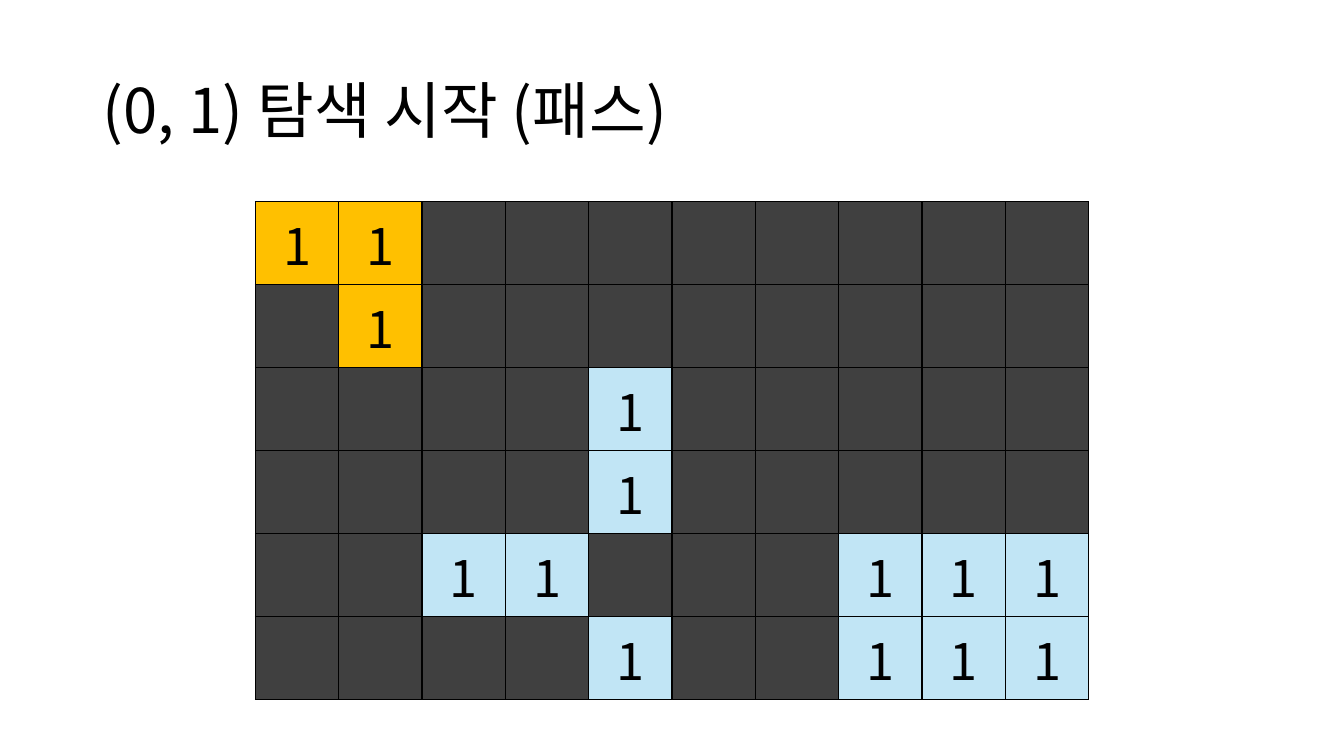
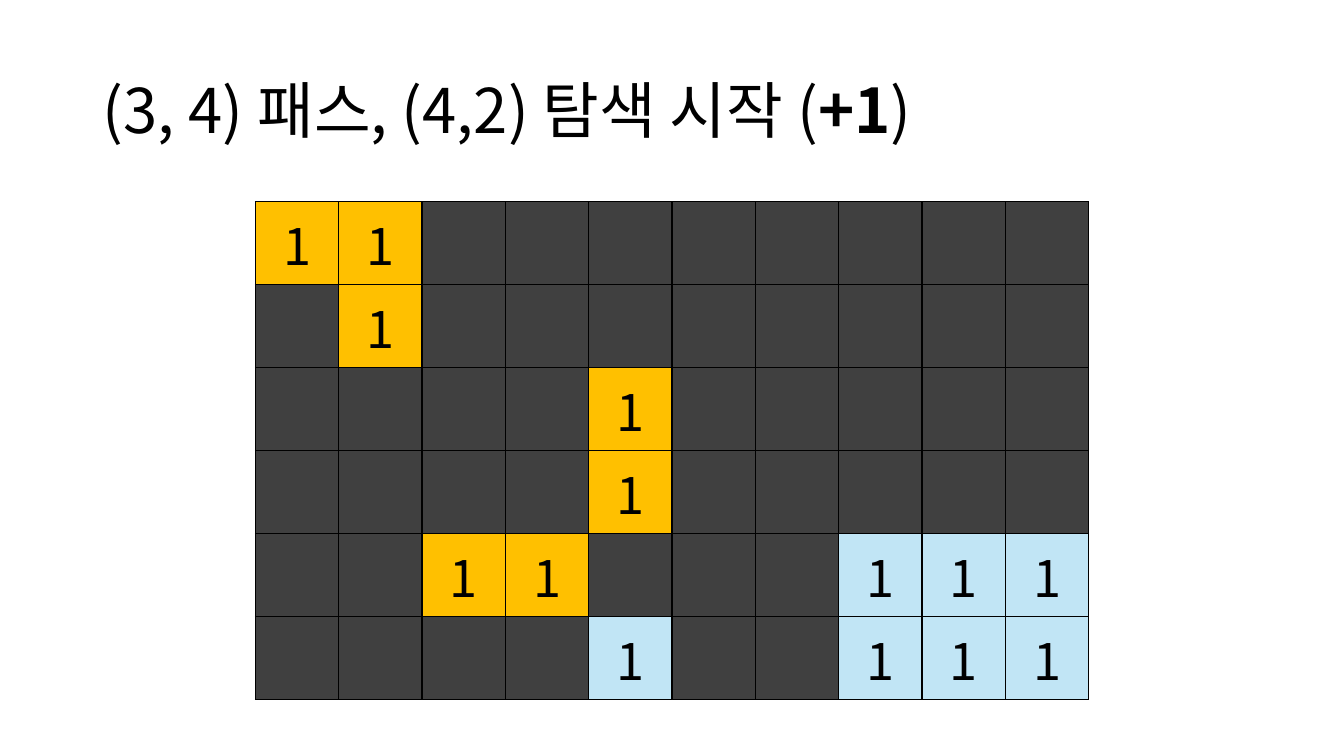
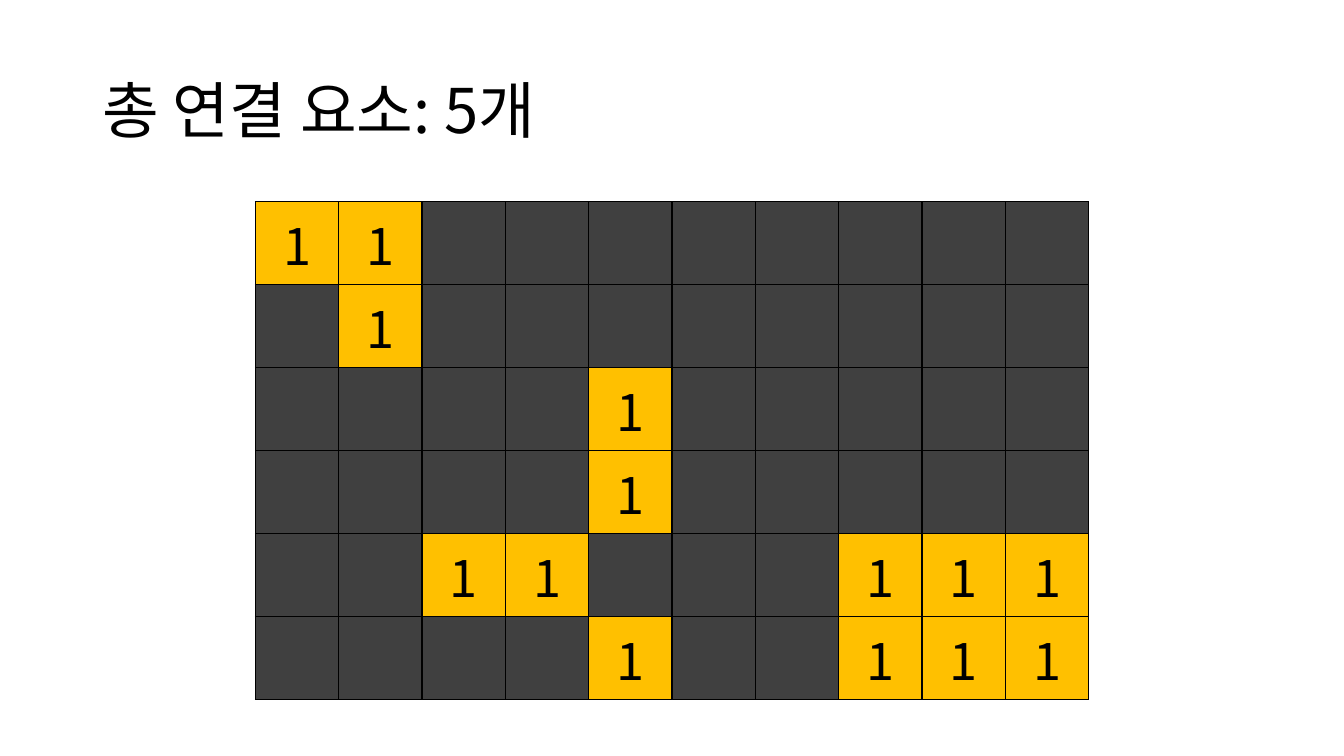
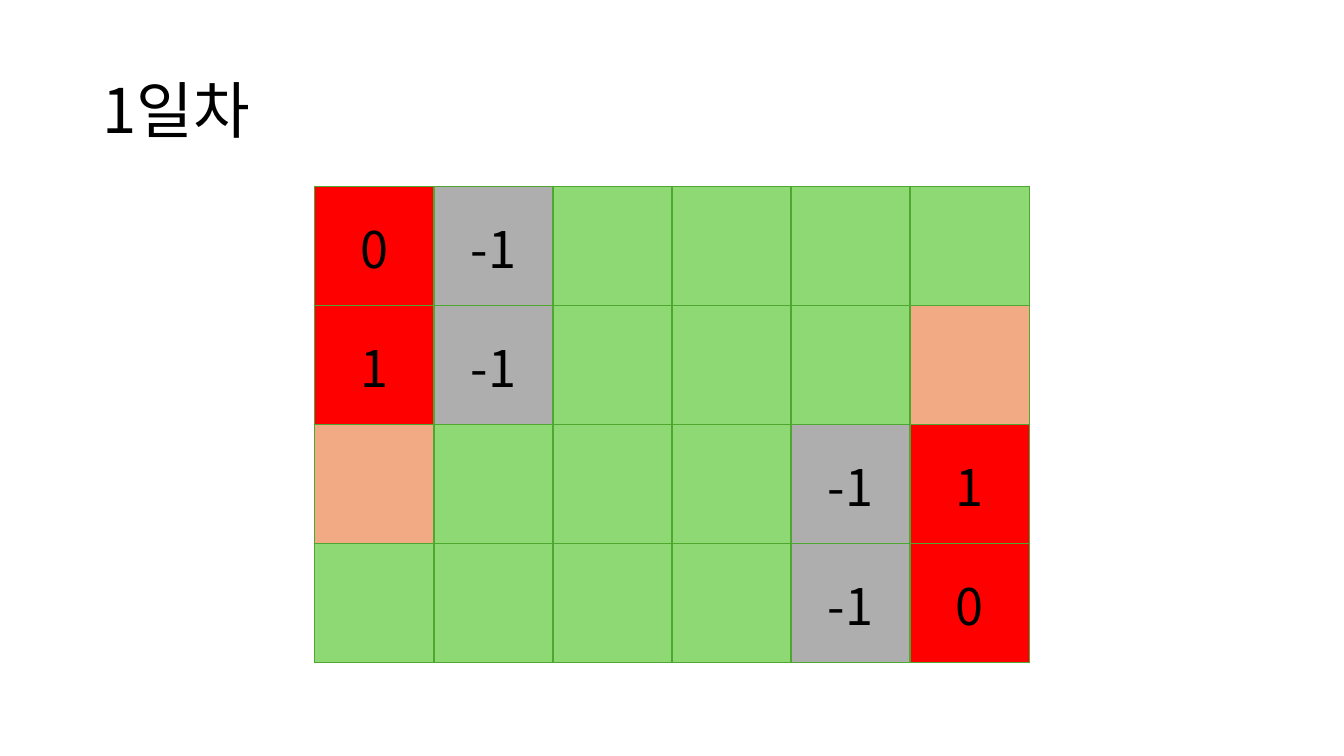
from dataclasses import dataclass

from lxml.etree import SubElement
from pptx import Presentation
from pptx.dml.color import RGBColor as Rgb
from pptx.enum.text import MSO_ANCHOR as Anchor, MSO_AUTO_SIZE as AutoSize, PP_ALIGN as Align
from pptx.oxml.ns import qn
from pptx.util import Cm, Pt


@dataclass(frozen=True)
class Theme:
    font: str = "Noto Sans CJK KR"
    title_size: int = 44
    value_size: int = 36
    border_width: int = 1
    ink: str = "000000"
    wall: str = "404040"
    visited: str = "FFC000"
    unvisited: str = "C1E5F5"
    ripe: str = "FF0000"
    blocked: str = "AEAEAE"
    unripe: str = "8ED973"
    ripening: str = "F2AA84"
    field_border: str = "4EA72E"


THEME = Theme()
SLIDE_WIDTH, SLIDE_HEIGHT = 33.87, 19.05

ISLANDS = (
    "AA........",
    ".A........",
    "....B.....",
    "....B.....",
    "..CC...EEE",
    "....D..EEE",
)
SEARCH_STEPS = (
    ([("(0, 1) 탐색 시작 (패스)", False)], "A"),
    ([("(3, 4) 패스, (4,2) 탐색 시작 (", False), ("+1", True), (")", False)], "ABC"),
    ([("총 연결 요소: 5개", False)], "ABCDE"),
)

DAY_ONE = (
    "0 -1 . . . .",
    "1 -1 . . . next",
    "next . . . -1 1",
    ". . . . -1 0",
)
TOMATOES = {
    "0": ("0", THEME.ripe),
    "1": ("1", THEME.ripe),
    "-1": ("-1", THEME.blocked),
    ".": ("", THEME.unripe),
    "next": ("", THEME.ripening),
}


def style_paragraph(paragraph, size):
    font = paragraph.font
    font.size = Pt(size)
    font.color.rgb = Rgb.from_string(THEME.ink)
    font.name = THEME.font
    defaults = paragraph._p.pPr.find(qn("a:defRPr"))
    SubElement(defaults, qn("a:ea"), typeface=THEME.font)


def add_titled_slide(deck, title_parts):
    slide = deck.slides.add_slide(deck.slide_layouts[5])
    title = slide.shapes.title
    title.left, title.top, title.width, title.height = Cm(2.33), Cm(1.01), Cm(29.21), Cm(3.68)
    frame = title.text_frame
    frame.auto_size = AutoSize.NONE
    frame.word_wrap = True
    frame.vertical_anchor = Anchor.MIDDLE
    heading = frame.paragraphs[0]
    heading.alignment = Align.LEFT
    heading.line_spacing = 0.9
    style_paragraph(heading, THEME.title_size)
    for text, bold in title_parts:
        run = heading.add_run()
        run.text = text
        if bold:
            run.font.bold = True
    return slide


def add_borders(cell, color):
    properties = cell._tc.get_or_add_tcPr()
    for side in ("lnL", "lnR", "lnT", "lnB"):
        line = SubElement(properties, qn(f"a:{side}"), w=str(Pt(THEME.border_width)))
        fill = SubElement(line, qn("a:solidFill"))
        SubElement(fill, qn("a:srgbClr"), val=color)


def fill_cell(cell, value, color, border):
    add_borders(cell, border)
    cell.fill.solid()
    cell.fill.fore_color.rgb = Rgb.from_string(color)
    if value:
        cell.vertical_anchor = Anchor.MIDDLE
        cell.text = value
        paragraph = cell.text_frame.paragraphs[0]
        paragraph.alignment = Align.CENTER
        style_paragraph(paragraph, THEME.value_size)


def add_grid(slide, rows, top, column_width, row_height, border):
    row_count, column_count = len(rows), len(rows[0])
    width = column_count * column_width
    grid = slide.shapes.add_table(
        row_count, column_count,
        Cm((SLIDE_WIDTH - width) / 2), Cm(top), Cm(width), Cm(row_count * row_height),
    ).table
    grid.first_row = grid.horz_banding = False
    for column in grid.columns:
        column.width = Cm(column_width)
    for row_index, row in enumerate(rows):
        grid.rows[row_index].height = Cm(row_height)
        for column_index, (value, color) in enumerate(row):
            fill_cell(grid.cell(row_index, column_index), value, color, border)


def island_cell(island, visited):
    if island == ".":
        return "", THEME.wall
    return "1", THEME.visited if island in visited else THEME.unvisited


def main():
    deck = Presentation()
    deck.slide_width, deck.slide_height = Cm(SLIDE_WIDTH), Cm(SLIDE_HEIGHT)
    for title_parts, visited in SEARCH_STEPS:
        slide = add_titled_slide(deck, title_parts)
        rows = [[island_cell(island, visited) for island in line] for line in ISLANDS]
        add_grid(slide, rows, 5.08, 2.1, 1.98, THEME.ink)

    slide = add_titled_slide(deck, [("1일차", False)])
    rows = [[TOMATOES[state] for state in line.split()] for line in DAY_ONE]
    add_grid(slide, rows, 4.7, 3, 3, THEME.field_border)
    deck.save("out.pptx")


if __name__ == "__main__":
    main()
